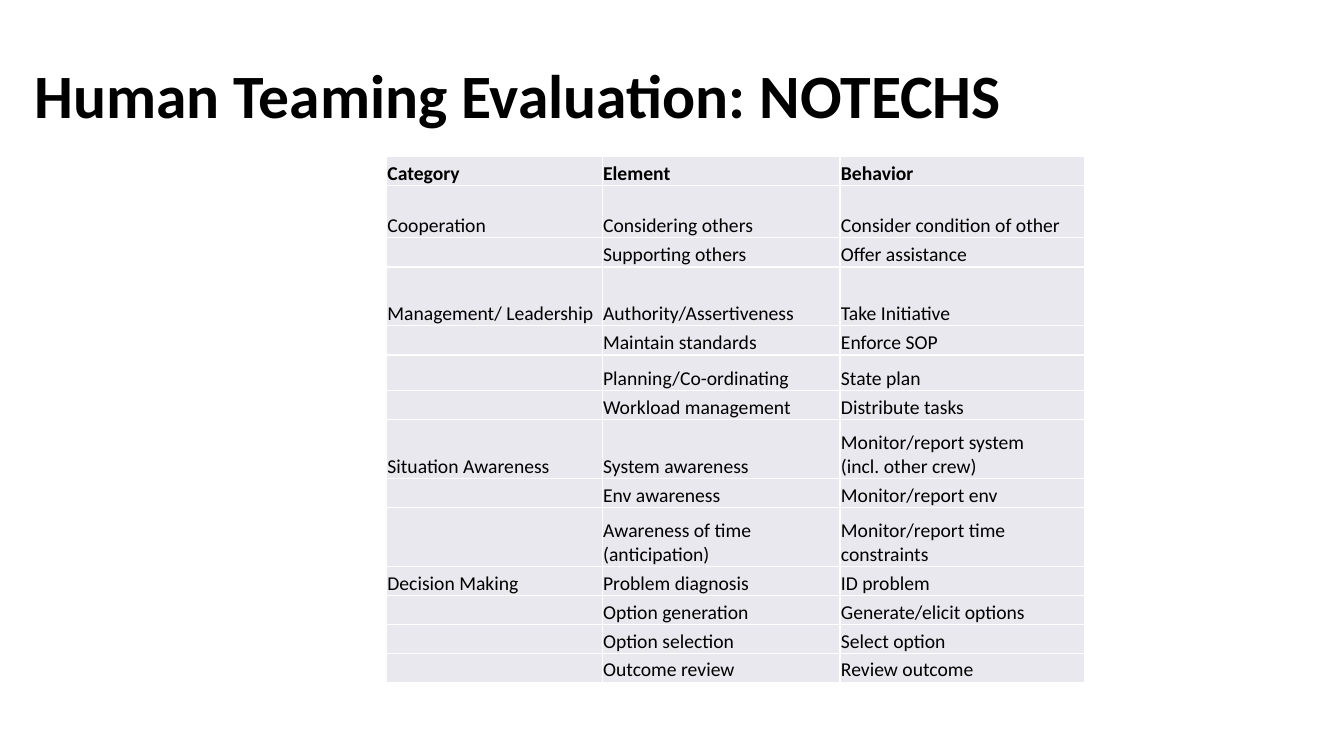
from lxml import etree
from pptx import Presentation
from pptx.dml.color import RGBColor
from pptx.enum.text import MSO_ANCHOR, PP_ALIGN
from pptx.oxml.ns import qn
from pptx.util import Inches, Pt

BOTTOM = MSO_ANCHOR.BOTTOM
MIDDLE = MSO_ANCHOR.MIDDLE
LEFT = PP_ALIGN.LEFT
BLACK = RGBColor(0x00, 0x00, 0x00)
WHITE = RGBColor(0xFF, 0xFF, 0xFF)
PALE_GREY = RGBColor(0xE8, 0xE8, 0xEE)
GRID_COLUMNS, GRID_ROWS = 160, 90
TITLE_ONLY = 5

HEADINGS = ("Category", "Element", "Behavior")
SKILLS = {
    "Cooperation": [
        ("Considering others", "Consider condition of other", 6.24),
        ("Supporting others", "Offer assistance", 3.48),
    ],
    "Management/ Leadership": [
        ("Authority/Assertiveness", "Take Initiative", 7),
        ("Maintain standards", "Enforce SOP", 3.48),
        ("Planning/Co-ordinating", "State plan", 4.2),
        ("Workload management", "Distribute tasks", 3.48),
    ],
    "Situation Awareness": [
        ("System awareness", "Monitor/report system\n(incl. other crew)", 7),
        ("Env awareness", "Monitor/report env", 3.48),
        ("Awareness of time (anticipation)", "Monitor/report time constraints", 7),
    ],
    "Decision Making": [
        ("Problem diagnosis", "ID problem", 3.48),
        ("Option generation", "Generate/elicit options", 3.48),
        ("Option selection", "Select option", 3.48),
        ("Outcome review", "Review outcome", 3.36),
    ],
}


def apply_format(target, values):
    for name, value in values.items():
        setattr(target, name, value)


class EvaluationSlide:
    title_font = {"name": "Calibri", "size": Pt(44), "bold": True}
    cell_font = {"name": "Calibri", "size": Pt(14)}
    cell_format = {
        "vertical_anchor": BOTTOM,
        "margin_left": Inches(0.01),
        "margin_right": Inches(0.01),
        "margin_top": Inches(0.01),
        "margin_bottom": 0,
    }

    def __init__(self, deck):
        self.slide = deck.slides.add_slide(deck.slide_layouts[TITLE_ONLY])
        self.column = deck.slide_width / GRID_COLUMNS
        self.row = deck.slide_height / GRID_ROWS

    def across(self, columns):
        return round(columns * self.column)

    def down(self, rows):
        return round(rows * self.row)

    def fill_text(self, frame, text, font_format):
        frame.text = text
        for paragraph in frame.paragraphs:
            for run in paragraph.runs:
                apply_format(run.font, font_format)
                run.font.color.rgb = BLACK
            if not text:
                size = str(round(font_format["size"].pt * 100))
                etree.SubElement(paragraph._p, qn("a:endParaRPr"), sz=size)

    def title(self, text, left, top, width, height):
        heading = self.slide.shapes.title
        apply_format(heading, {
            "left": self.across(left),
            "top": self.down(top),
            "width": self.across(width),
            "height": self.down(height),
        })
        self.fill_text(heading.text_frame, text, self.title_font)
        apply_format(heading.text_frame, {"vertical_anchor": MIDDLE, "word_wrap": True})
        apply_format(heading.text_frame.paragraphs[0], {"line_spacing": 0.9, "alignment": LEFT})

    def border(self, cell):
        properties = cell._tc.get_or_add_tcPr()
        for side in ("lnL", "lnR", "lnT", "lnB"):
            line = etree.SubElement(properties, qn(f"a:{side}"), w=str(int(Pt(1))))
            paint = etree.SubElement(line, qn("a:solidFill"))
            etree.SubElement(paint, qn("a:srgbClr"), val=str(WHITE))

    def table(self, rows, left, top, widths, heights):
        table = self.slide.shapes.add_table(
            len(rows), len(widths), self.across(left), self.down(top),
            self.across(sum(widths)), self.down(sum(heights)),
        ).table
        apply_format(table, {"first_row": False, "horz_banding": False})
        for column, width in zip(table.columns, widths):
            column.width = self.across(width)
        for index, (row, height, texts) in enumerate(zip(table.rows, heights, rows)):
            row.height = self.down(height)
            for cell, text in zip(row.cells, texts):
                self.fill_text(cell.text_frame, text, {**self.cell_font, "bold": index == 0})
                apply_format(cell, self.cell_format)
                self.border(cell)
                cell.fill.solid()
                cell.fill.fore_color.rgb = PALE_GREY


def main():
    deck = Presentation()
    apply_format(deck, {"slide_width": Inches(13.33), "slide_height": Inches(7.5)})
    evaluation = EvaluationSlide(deck)
    evaluation.title("Human Teaming Evaluation: NOTECHS", 2.88, 4.56, 143.52, 14.28)

    rows, heights = [HEADINGS], [3.48]
    for category, skills in SKILLS.items():
        for position, (element, behavior, height) in enumerate(skills):
            rows.append(("" if position else category, element, behavior))
            heights.append(height)
    evaluation.table(rows, 46, 18.6, (25.68, 28.32, 29.16), heights)
    deck.save("out.pptx")


if __name__ == "__main__":
    main()
